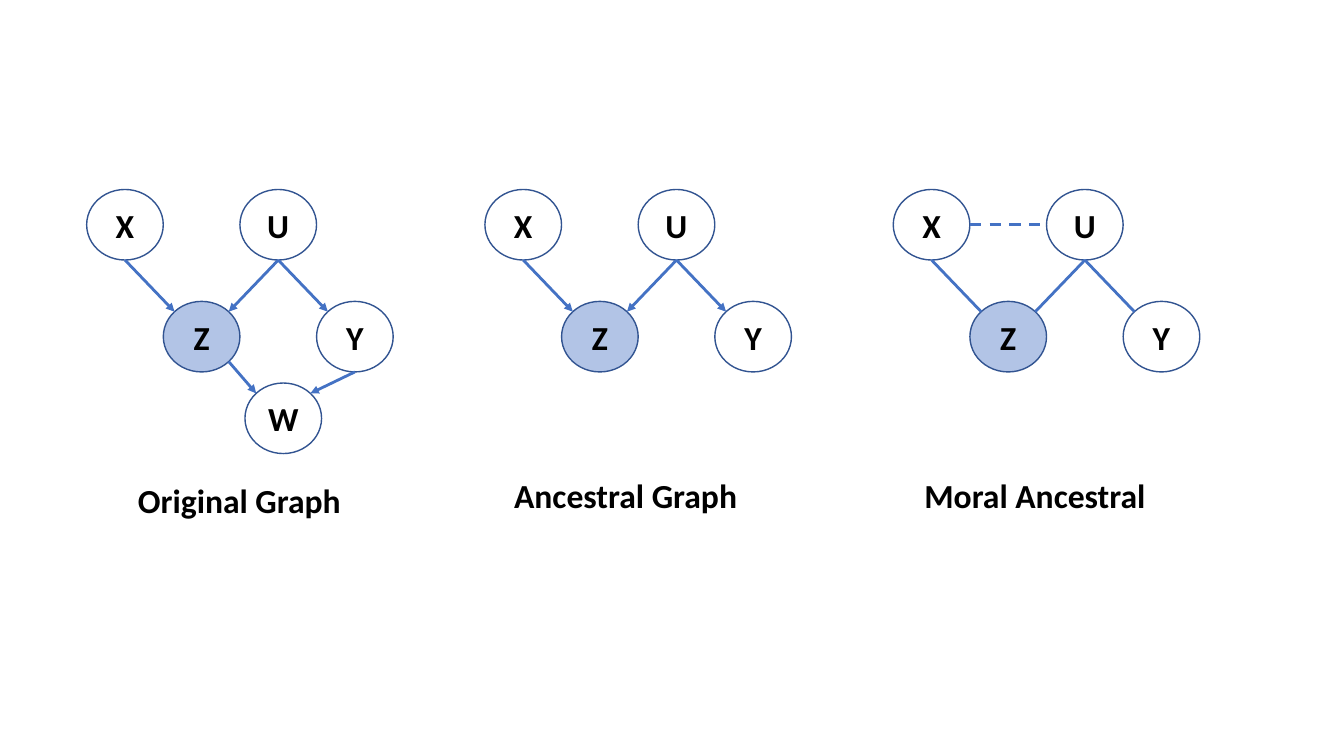
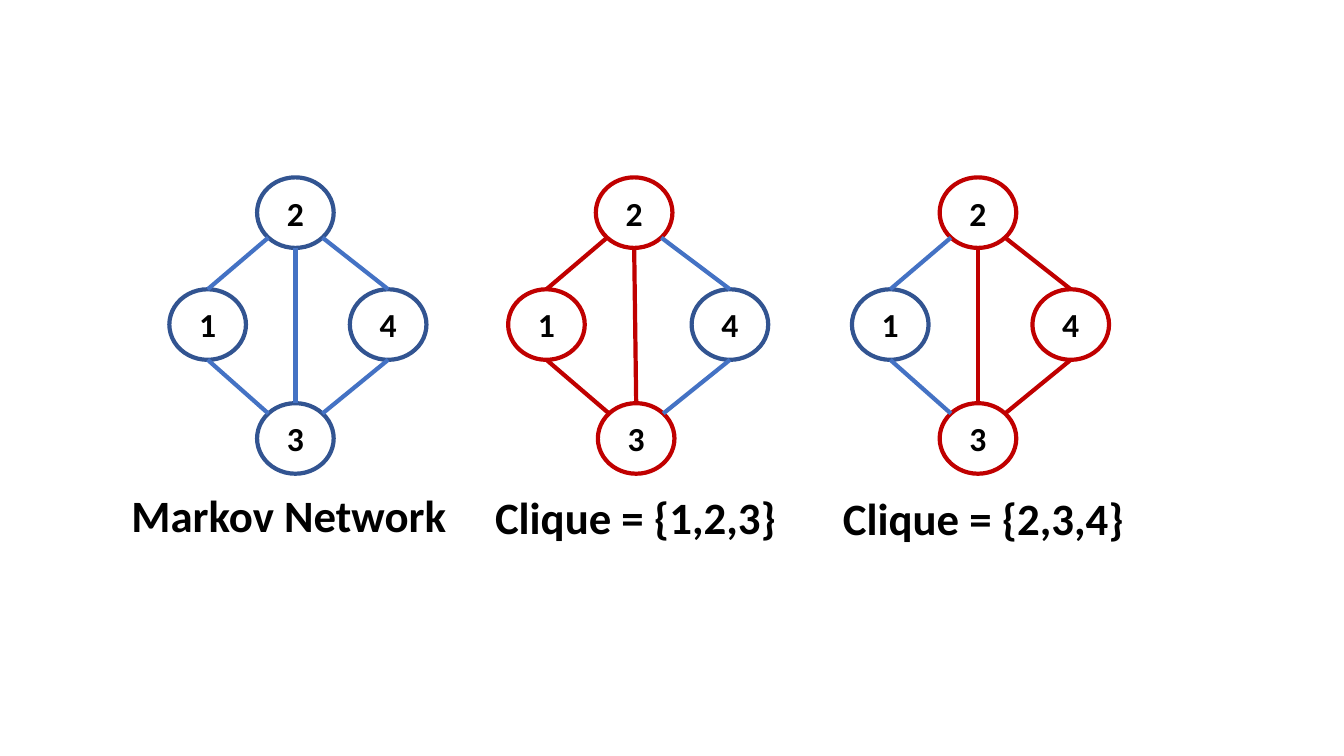
from dataclasses import dataclass
from math import sqrt

from pptx import Presentation
from pptx.dml.color import RGBColor
from pptx.enum.dml import MSO_LINE
from pptx.enum.shapes import MSO_CONNECTOR, MSO_SHAPE
from pptx.enum.text import MSO_ANCHOR, MSO_AUTO_SIZE, PP_ALIGN
from pptx.oxml.ns import qn
from pptx.util import Inches, Pt
from lxml.etree import SubElement


@dataclass(frozen=True)
class Theme:
    """Colours, type and node size shared by both slides."""
    font: str = "Calibri"
    ink: str = "000000"
    outline: str = "325491"
    edge: str = "4472C4"
    clique: str = "C00000"
    observed_alpha: int = 41
    label_size: int = 24
    node_width: float = 0.76
    node_height: float = 0.7


@dataclass(frozen=True)
class Stroke:
    """Line widths of one slide, in points."""
    node: float
    edge: float


THEME = Theme()
CAUSAL_STROKE = Stroke(node=1, edge=2)
MARKOV_STROKE = Stroke(node=3, edge=3)

# Direction from a node's centre to the point where an edge meets it
DIAGONAL = sqrt(0.5)
SITES = {
    "top": (0, -1), "bottom": (0, 1), "left": (-1, 0), "right": (1, 0),
    "top left": (-DIAGONAL, -DIAGONAL), "top right": (DIAGONAL, -DIAGONAL),
    "bottom left": (-DIAGONAL, DIAGONAL), "bottom right": (DIAGONAL, DIAGONAL),
}

# Node offsets from the graph's corner; edges as start, site, end, site
ANCESTORS = {"X": (0, 0), "Z": (0.76, 1.11), "U": (1.52, 0), "Y": (2.28, 1.11)}
ANCESTOR_EDGES = [
    ("X", "bottom", "Z", "top left"),
    ("U", "bottom", "Z", "top right"),
    ("U", "bottom", "Y", "top left"),
]
COLLIDER = {"W": (1.57, 1.92)}
COLLIDER_EDGES = [
    ("Z", "bottom right", "W", "top left"),
    ("Y", "bottom", "W", "top right"),
]
MORAL_EDGE = ("X", "right", "U", "left")

DIAMOND = {"1": (0, 1.11), "2": (0.87, 0), "3": (0.87, 2.24), "4": (1.79, 1.11)}
DIAMOND_EDGES = [
    ("2", "bottom left", "1", "top"),
    ("2", "bottom right", "4", "top"),
    ("1", "bottom", "3", "top left"),
    ("4", "bottom", "3", "top right"),
    ("2", "bottom", "3", "top"),
]


def rgb(code):
    """Turn a hex code into a colour."""
    return RGBColor.from_string(code)


def write(frame, text, size):
    """Write one bold centred run into a text frame."""
    para = frame.paragraphs[0]
    para.alignment = PP_ALIGN.CENTER
    span = para.add_run()
    span.text = text
    span.font.name = THEME.font
    span.font.size = Pt(size)
    span.font.bold = True
    span.font.color.rgb = rgb(THEME.ink)


def add_node(page, corner, name, color, width, observed=False):
    """Draw a labelled ellipse, tinted when its variable is observed."""
    left, top = corner
    node = page.shapes.add_shape(
        MSO_SHAPE.OVAL, Inches(left), Inches(top),
        Inches(THEME.node_width), Inches(THEME.node_height))
    node.shadow.inherit = False
    node.line.color.rgb = rgb(color)
    node.line.width = Pt(width)
    if observed:
        node.fill.solid()
        node.fill.fore_color.rgb = rgb(THEME.edge)
        tint = node.fill._xPr.find(qn("a:solidFill"))[0]
        SubElement(tint, qn("a:alpha"), val=str(THEME.observed_alpha * 1000))
    else:
        node.fill.background()
    frame = node.text_frame
    frame.margin_left = frame.margin_right = 0
    frame.vertical_anchor = MSO_ANCHOR.MIDDLE
    write(frame, name, THEME.label_size)


def site_point(corner, site):
    """Find the point on a node's outline at the named site."""
    across, down = SITES[site]
    return (Inches(corner[0] + THEME.node_width * (1 + across) / 2),
            Inches(corner[1] + THEME.node_height * (1 + down) / 2))


def add_edge(page, corners, edge, color, width, arrow=False, dashed=False):
    """Join two nodes with a straight line."""
    start, start_site, end, end_site = edge
    line = page.shapes.add_connector(
        MSO_CONNECTOR.STRAIGHT, *site_point(corners[start], start_site),
        *site_point(corners[end], end_site))
    line.line.color.rgb = rgb(color)
    line.line.width = Pt(width)
    if dashed:
        line.line.dash_style = MSO_LINE.DASH
    properties = line._element.spPr
    if arrow:
        SubElement(properties.find(qn("a:ln")), qn("a:tailEnd"), type="triangle")
    SubElement(properties, qn("a:effectLst"))


def add_caption(page, box, text, size):
    """Write a graph's caption in its box."""
    caption = page.shapes.add_textbox(*map(Inches, box))
    frame = caption.text_frame
    frame.word_wrap = True
    frame.auto_size = MSO_AUTO_SIZE.SHAPE_TO_FIT_TEXT
    write(frame, text, size)


def place(corner, offsets):
    """Shift node offsets to the graph's corner."""
    left, top = corner
    return {name: (left + x, top + y) for name, (x, y) in offsets.items()}


def causal_graph(page, corner, nodes, edges, arrow=True, moral=False):
    """Draw a graph with Z observed and, if moral, its parents joined."""
    corners = place(corner, nodes)
    for name, spot in corners.items():
        add_node(page, spot, name, THEME.outline, CAUSAL_STROKE.node,
                 observed=name == "Z")
    for edge in edges:
        add_edge(page, corners, edge, THEME.edge, CAUSAL_STROKE.edge, arrow)
    if moral:
        add_edge(page, corners, MORAL_EDGE, THEME.edge, CAUSAL_STROKE.edge,
                 dashed=True)


def markov_graph(page, corner, nodes, clique):
    """Draw a four-node network with one clique highlighted."""
    corners = place(corner, nodes)
    for name, spot in corners.items():
        color = THEME.clique if name in clique else THEME.outline
        add_node(page, spot, name, color, MARKOV_STROKE.node)
    for edge in DIAMOND_EDGES:
        inside = edge[0] in clique and edge[2] in clique
        color = THEME.clique if inside else THEME.edge
        add_edge(page, corners, edge, color, MARKOV_STROKE.edge)


def moralization_slide(page):
    """Show the steps from the full graph to the moral ancestral graph."""
    top = 1.88
    causal_graph(page, (0.86, top), {**ANCESTORS, **COLLIDER},
                 ANCESTOR_EDGES + COLLIDER_EDGES)
    causal_graph(page, (4.81, top), ANCESTORS, ANCESTOR_EDGES)
    causal_graph(page, (8.86, top), ANCESTORS, ANCESTOR_EDGES,
                 arrow=False, moral=True)
    for left, caption_top, text in [(0.86, 4.71, "Original Graph"),
                                    (4.69, 4.66, "Ancestral Graph"),
                                    (8.75, 4.66, "Moral Ancestral")]:
        add_caption(page, (left, caption_top, 3.03, 0.5), text, size=24)


def clique_slide(page):
    """Show a Markov network and its two cliques."""
    top = 1.76
    wide_diamond = {**DIAMOND, "3": (0.89, 2.24), "4": (1.82, 1.11)}
    markov_graph(page, (1.68, top), DIAMOND, clique="")
    markov_graph(page, (5.04, top), wide_diamond, clique="123")
    markov_graph(page, (8.45, top), DIAMOND, clique="234")
    for left, caption_top, text in [(1.19, 4.79, "Markov Network"),
                                    (4.63, 4.81, "Clique = {1,2,3}"),
                                    (8.08, 4.82, "Clique = {2,3,4}")]:
        add_caption(page, (left, caption_top, 3.35, 0.64), text, size=32)


def main():
    """Build and save the deck."""
    deck = Presentation()
    deck.slide_width, deck.slide_height = Inches(13.33), Inches(7.5)
    blank = deck.slide_layouts[6]
    for build in (moralization_slide, clique_slide):
        build(deck.slides.add_slide(blank))
    deck.save("out.pptx")


main()
